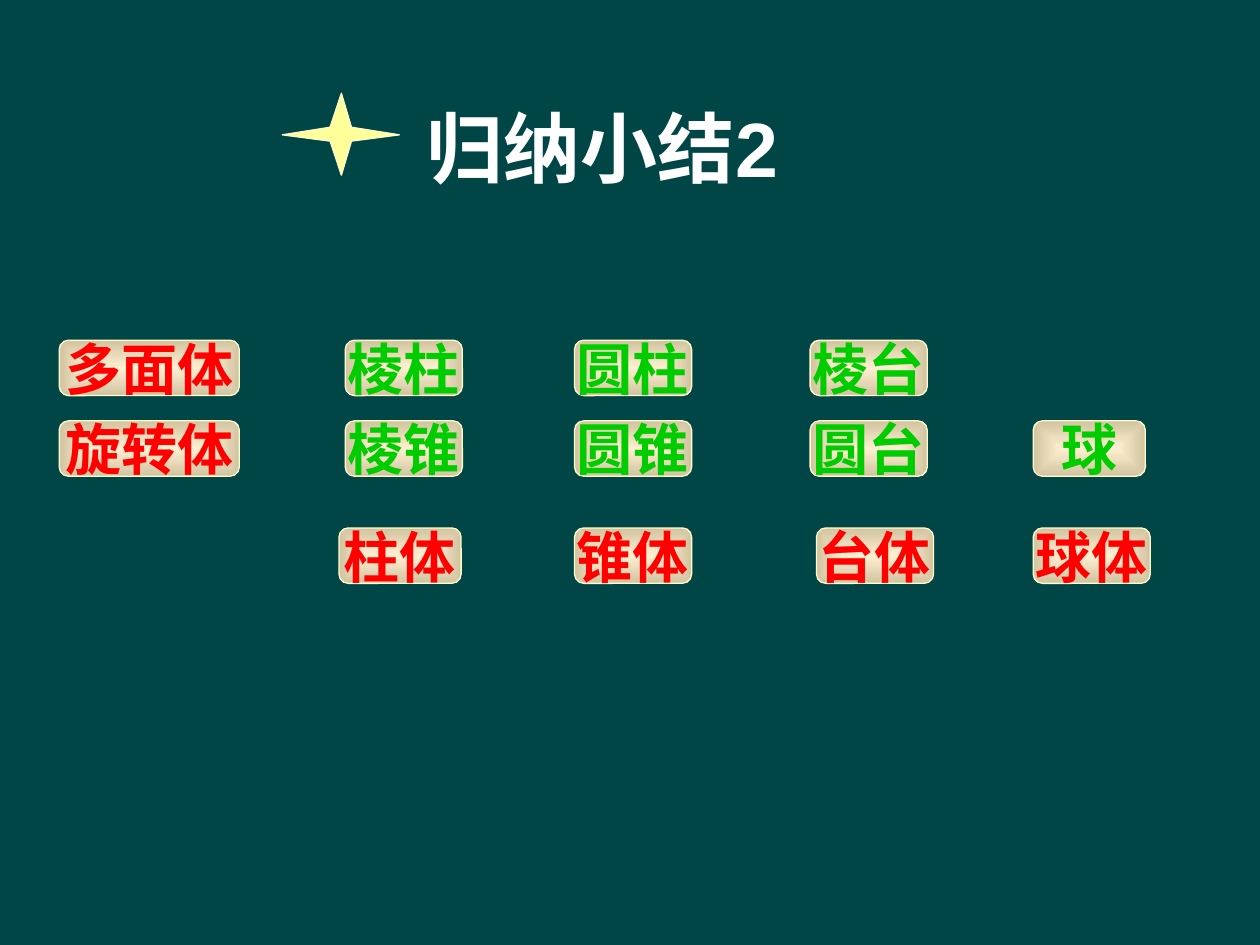
from lxml.etree import SubElement
from pptx import Presentation
from pptx.dml.color import RGBColor
from pptx.enum.shapes import MSO_SHAPE
from pptx.enum.text import MSO_ANCHOR, PP_ALIGN
from pptx.oxml.ns import qn
from pptx.util import Inches, Pt

GREEN, RED, WHITE = "00CC00", "FF0000", "FFFFFF"
CREAM, SAND = "FFEFD1", "D1C39F"
YELLOW, PALE_YELLOW = "FFFF99", "FFFFCC"
ROW_TOPS = (2.7, 3.34, 4.19)
LABEL_WIDTH, LABEL_HEIGHT = 0.93, 0.44
COLUMNS = [
    (0.47, 1.43, ("多面体", "旋转体")),
    (2.74, LABEL_WIDTH, ("棱柱", "棱锥")),
    (4.56, LABEL_WIDTH, ("圆柱", "圆锥")),
    (6.43, LABEL_WIDTH, ("棱台", "圆台")),
]
SUMMARY = [
    (2.69, 0.97, "柱体"),
    (4.56, LABEL_WIDTH, "锥体"),
    (6.48, LABEL_WIDTH, "台体"),
    (8.2, LABEL_WIDTH, "球体"),
]
STAR_POINTS = [
    (2.24, 1.07), (2.62, 1.01), (2.71, 0.74), (2.79, 1.01),
    (3.17, 1.07), (2.79, 1.12), (2.71, 1.39), (2.62, 1.12),
]


def color(value):
    return RGBColor.from_string(value)


class SlideBuilder:
    font_name = "Arial"

    def __init__(self, page):
        self.page = page

    def background(self, fill_color):
        fill = self.page.background.fill
        fill.solid()
        fill.fore_color.rgb = color(fill_color)

    def set_text(self, frame, text, size, text_color):
        frame.text = text
        para = frame.paragraphs[0]
        para.alignment = PP_ALIGN.CENTER
        for span in para.runs:
            span.font.name = self.font_name
            span.font.size = Pt(size)
            span.font.bold = True
            span.font.color.rgb = color(text_color)

    def outline(self, shape):
        shape.shadow.inherit = False
        shape.line.color.rgb = color(PALE_YELLOW)
        shape.line.width = Pt(0.75)

    def center_gradient(self, shape):
        shape.fill.gradient()
        for stop, stop_color in zip(shape.fill.gradient_stops, (CREAM, SAND)):
            stop.color.rgb = color(stop_color)
        gradient = shape.element.spPr.find(qn("a:gradFill"))
        gradient.remove(gradient.find(qn("a:lin")))
        shade = SubElement(gradient, qn("a:path"), {"path": "rect"})
        SubElement(shade, qn("a:fillToRect"), dict.fromkeys("ltrb", "50000"))

    def label(self, left, top, width, text, text_color):
        box = self.page.shapes.add_shape(
            MSO_SHAPE.ROUNDED_RECTANGLE,
            Inches(left), Inches(top), Inches(width), Inches(LABEL_HEIGHT))
        self.center_gradient(box)
        self.outline(box)
        frame = box.text_frame
        frame.word_wrap = False
        frame.vertical_anchor = MSO_ANCHOR.MIDDLE
        self.set_text(frame, text, 32, text_color)

    def star(self, points):
        corners = [(Inches(x), Inches(y)) for x, y in points]
        builder = self.page.shapes.build_freeform(*corners[0])
        builder.add_line_segments(corners[1:], close=True)
        star = builder.convert_to_shape()
        star.fill.solid()
        star.fill.fore_color.rgb = color(YELLOW)
        self.outline(star)

    def title(self, left, top, width, height, text):
        box = self.page.shapes.add_textbox(
            Inches(left), Inches(top), Inches(width), Inches(height))
        box.text_frame.word_wrap = True
        self.set_text(box.text_frame, text, 44, WHITE)


def main():
    deck = Presentation()
    deck.slide_width, deck.slide_height = Inches(10), Inches(7.5)
    slide = SlideBuilder(deck.slides.add_slide(deck.slide_layouts[6]))
    slide.background("004646")
    slide.star(STAR_POINTS)
    slide.title(2.89, 0.75, 3.78, 0.84, "归纳小结2")
    for index, (left, width, names) in enumerate(COLUMNS):
        text_color = GREEN if index else RED
        for top, name in zip(ROW_TOPS, names):
            slide.label(left, top, width, name, text_color)
    slide.label(8.2, ROW_TOPS[1], 0.89, "球", GREEN)
    for left, width, name in SUMMARY:
        slide.label(left, ROW_TOPS[2], width, name, RED)
    deck.save("out.pptx")


if __name__ == "__main__":
    main()
